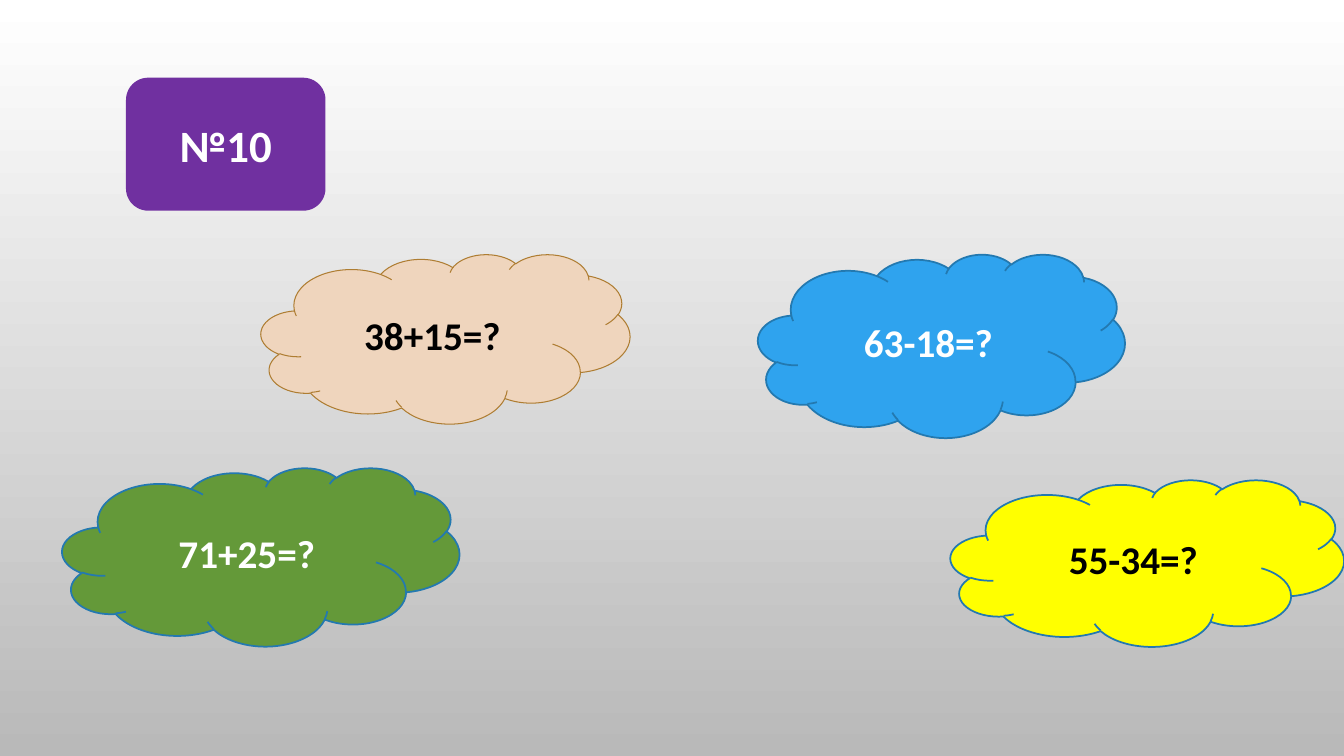
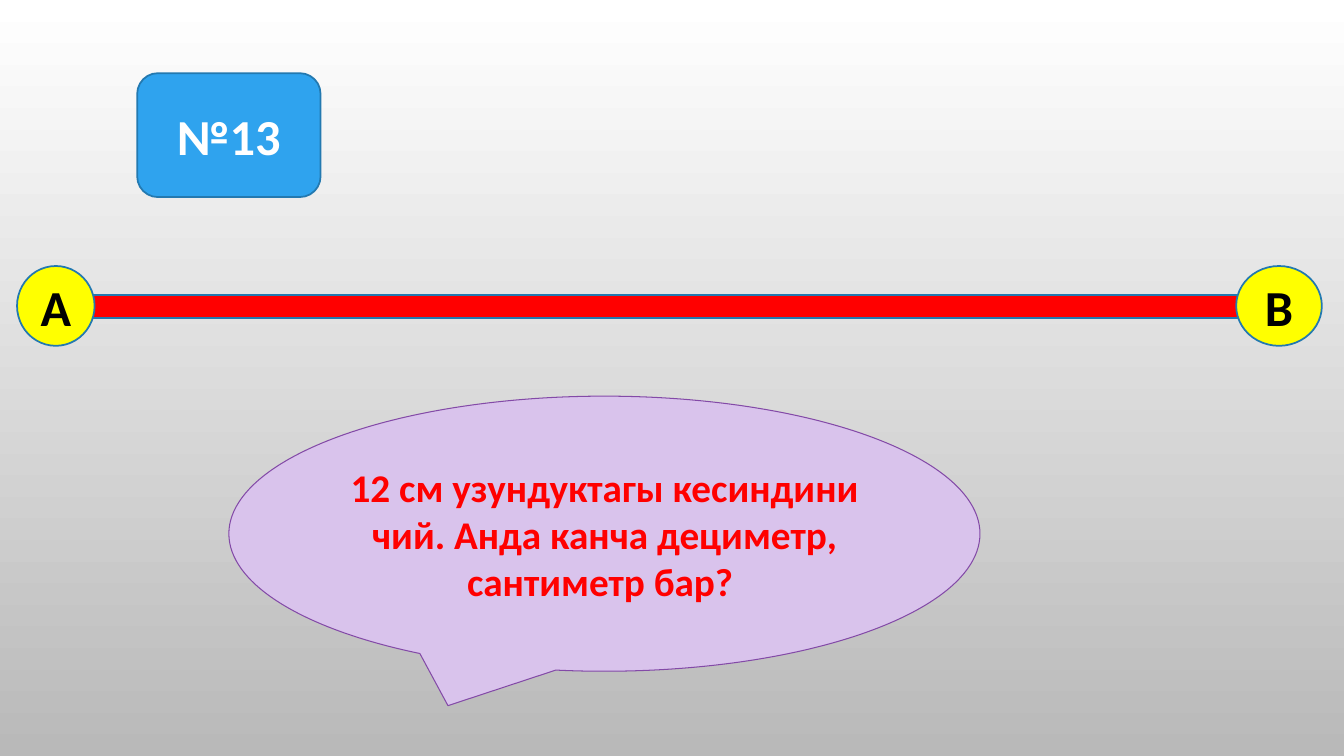
import pptx
import pptx.dml.color
import pptx.enum.shapes
import pptx.enum.text
import pptx.util

Pt = pptx.util.Pt
SHAPES = pptx.enum.shapes.MSO_SHAPE

SLIDE_WIDTH, SLIDE_HEIGHT = 960, 540
FONT = "Calibri"
COLORS = {
    "white": "FFFFFF",
    "grey": "B9B9B9",
    "black": "000000",
    "purple": "7030A0",
    "sand": "EFD5BD",
    "sand line": "AE7D32",
    "blue": "2FA3EE",
    "blue line": "2379B0",
    "yellow": "FFFF00",
    "green": "649939",
    "red": "FF0000",
    "lilac": "D9C3EC",
    "lilac line": "834AA7",
}


def rgb(name):
    return pptx.dml.color.RGBColor.from_string(COLORS[name])


def add_slide(presentation):
    """Blank slide with the shared white-to-grey background."""
    slide = presentation.slides.add_slide(presentation.slide_layouts[6])
    fill = slide.background.fill
    fill.gradient()
    fill.gradient_angle = 270
    for stop, name in zip(fill.gradient_stops, ("white", "grey")):
        stop.color.rgb = rgb(name)
    return slide


def add_figure(slide, kind, box, fill, line="blue line", line_width=1.25,
               text="", size=28, color="black"):
    """Filled preset shape with bold centred text; line=None hides the outline."""
    shape = slide.shapes.add_shape(kind, *(Pt(length) for length in box))
    shape.shadow.inherit = False
    shape.fill.solid()
    shape.fill.fore_color.rgb = rgb(fill)
    if line:
        shape.line.color.rgb = rgb(line)
        shape.line.width = Pt(line_width)
    else:
        shape.line.fill.background()
    if text:
        frame = shape.text_frame
        frame.text = text
        frame.vertical_anchor = pptx.enum.text.MSO_ANCHOR.MIDDLE
        paragraph = frame.paragraphs[0]
        paragraph.alignment = pptx.enum.text.PP_ALIGN.CENTER
        font = paragraph.runs[0].font
        font.name, font.size, font.bold = FONT, Pt(size), True
        font.color.rgb = rgb(color)
    return shape


def add_clouds(slide, box):
    """Four sums in clouds, placed from the top left of the box."""
    left, top = box[:2]
    clouds = [
        ("38+15=?", (142, 0, 263.5, 121), "sand", "sand line", 0.75, "black"),
        ("63-18=?", (497, 0, 262, 131), "blue", "blue line", 1.25, "white"),
        ("55-34=?", (634.5, 161.2, 281, 119), "yellow", "blue line", 1.25, "black"),
        ("71+25=?", (0, 152.6, 283.7, 127.4), "green", "blue line", 1.25, "white"),
    ]
    for text, (x, y, width, height), fill, line, line_width, color in clouds:
        add_figure(slide, SHAPES.CLOUD, (left + x, top + y, width, height),
                   fill, line, line_width, text, color=color)


def add_segment(slide, box):
    """Thick segment with a lettered circle at each end of the box."""
    left, top, width, height = box
    bar_length, bar_height = 864, 16.5
    first_width, last_width = 55.4, 61.2
    add_figure(slide, SHAPES.RECTANGLE,
               (left + first_width / 2, top + (height - bar_height) / 2 + 0.6,
                bar_length, bar_height), "red")
    ends = [("А", left, first_width),
            ("В", left + width - last_width, last_width)]
    for letter, x, end_width in ends:
        add_figure(slide, SHAPES.OVAL, (x, top, end_width, height), "yellow",
                   text=letter, size=36)


def build_sums_slide(presentation):
    slide = add_slide(presentation)
    # Exercise number
    add_figure(slide, SHAPES.ROUNDED_RECTANGLE, (90, 55.5, 142.5, 95), "purple",
               line=None, text="№10", size=32, color="white")
    # Sums
    add_clouds(slide, (44.5, 181.5, 915.5, 280.2))


def build_segment_slide(presentation):
    slide = add_slide(presentation)
    # Exercise number
    add_figure(slide, SHAPES.FLOWCHART_ALTERNATE_PROCESS, (98, 52.3, 131, 88.5),
               "blue", text="№13", size=36, color="white")
    # Segment to measure
    add_segment(slide, (12.2, 190, 932, 57))
    # Task
    add_figure(slide, SHAPES.OVAL_CALLOUT, (163.5, 283, 536.5, 196.5),
               "lilac", "lilac line", 0.75,
               "12 см узундуктагы кесиндини чий. Анда канча дециметр, "
               "сантиметр бар? ", color="red")


def main():
    presentation = pptx.Presentation()
    presentation.slide_width = Pt(SLIDE_WIDTH)
    presentation.slide_height = Pt(SLIDE_HEIGHT)
    build_sums_slide(presentation)
    build_segment_slide(presentation)
    presentation.save("out.pptx")


if __name__ == "__main__":
    main()
